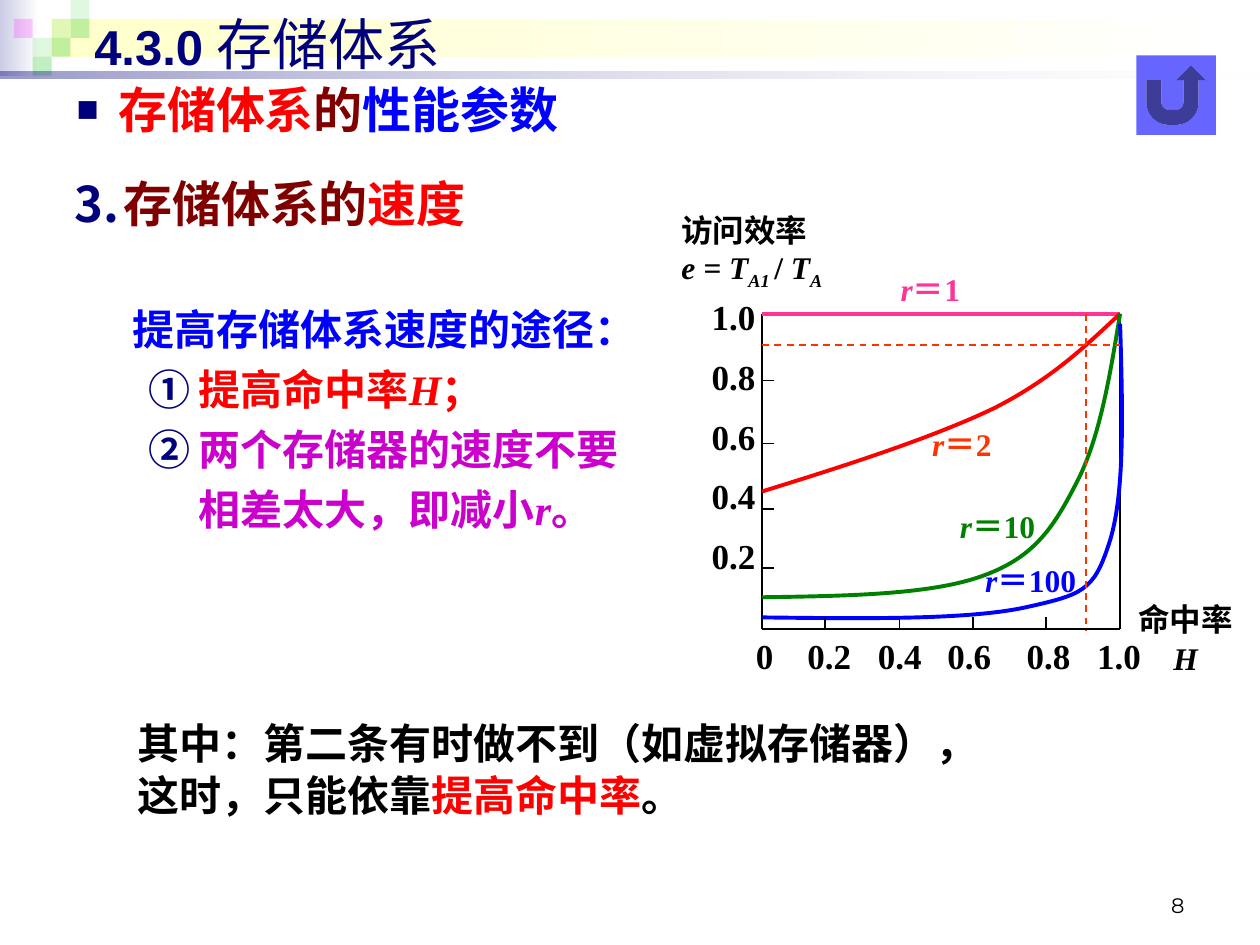
from lxml import etree
from pptx import Presentation, util as u
from pptx.dml.color import RGBColor
from pptx.enum import dml, shapes, text
from pptx.oxml.ns import qn

CJK, TIMES = "Noto Sans CJK SC", "Times New Roman"
NAVY, RED, BLUE, GREEN = "00007D", "FF0000", "0000FF", "008000"
MAROON, PURPLE, PINK, ORANGE, BLACK = "800000", "CC00CC", "FF3399", "FF3300", "000000"

# A run is (text, size, font, colour, styles): b bold, i italic, s subscript
TITLE = [("4.3.0 ", 28, "Arial", NAVY, "b"), ("存储体系", 32, CJK, NAVY, "")]
HEADING = [("存储体系", 28, CJK, RED, "b"), ("的", 28, CJK, MAROON, "b"),
           ("性能参数", 28, CJK, BLUE, "b")]
SPEED = [("存储体系的", 28, "Arial", MAROON, "b"), ("速度", 28, "Arial", RED, "b")]
WAYS = [("提高存储体系速度的途径：", 24, TIMES, BLUE, "b")]
WAY_1 = [("提高命中率", 24, TIMES, RED, "b"), ("H", 24, TIMES, RED, "bi"),
         ("；", 24, TIMES, RED, "b")]
WAY_2 = [("两个存储器的速度不要相差太大，即减小", 24, TIMES, PURPLE, "b"),
         ("r", 24, TIMES, PURPLE, "bi"), ("。", 24, TIMES, PURPLE, "b")]
NOTE = [("其中：第二条有时做不到（如虚拟存储器），这时，只能依靠", 24, "Arial", BLACK, "b"),
        ("提高命中率", 24, "Arial", RED, "b"), ("。", 24, "Arial", BLACK, "b")]
Y_NAME = [[("访问效率", 18, CJK, BLACK, "b")],
          [("e = T", 18, TIMES, BLACK, "bi"), ("A1 ", 18, TIMES, BLACK, "bis"),
           ("/", 18, TIMES, BLACK, "b"), (" T", 18, TIMES, BLACK, "bi"),
           ("A", 18, TIMES, BLACK, "bis")]]
X_NAME = [[("命中率", 18, TIMES, BLACK, "b")], [("H", 18, TIMES, BLACK, "bi")]]
Y_LABELS = ["1.0", "0.8", "0.6", "0.4", "0.2"]
X_LABELS = ["0", "0.2", "0.4", "0.6", "0.8", "1.0"]
X_TABS = [0.41, 0.97, 1.52, 2.15, 2.71]

# Plot area, ticks and curves (Bezier control points), in inches
LEFT, TOP, RIGHT, BOTTOM, TICK = 6.05, 2.49, 8.89, 4.99, 0.09
Y_TICKS = [3.02, 3.52, 4.04, 4.51]
X_TICKS = [6.55, 7.14, 7.72, 8.3]
CURVES = [
    (RED, [(6.05, 3.9), (6.73, 3.69), (7.41, 3.47), (7.89, 3.24),
           (8.36, 3), (8.62, 2.74), (8.89, 2.49)]),
    (GREEN, [(6.05, 4.74), (6.72, 4.73), (7.39, 4.72), (7.8, 4.57), (8.22, 4.42),
             (8.37, 4.17), (8.55, 3.82), (8.73, 3.47), (8.81, 2.98), (8.89, 2.49)]),
    (BLUE, [(6.05, 4.9), (6.86, 4.91), (7.68, 4.92), (8.14, 4.82), (8.59, 4.72),
            (8.68, 4.69), (8.8, 4.32), (8.93, 3.94), (8.91, 3.26), (8.89, 2.57)]),
]
CURVE_LABELS = [("1", PINK, 7.05, 2.09), ("2", ORANGE, 7.3, 3.32),
                ("10", GREEN, 7.52, 3.97), ("100", BLUE, 7.72, 4.4)]

# Banner: squares as column, row, colour, opacity; bands as box and colour stops
SQUARE = 0.15
SQUARES = [(2, 1, "33CC33", 15), (3, 0, "33CC33", 15), (3, 1, "33CC33", 30),
           (1, 2, "33CC33", 15), (0, 1, "FF00FF", 20), (2, 2, "33CC33", 30),
           (1, 3, "33CC33", 30)]
SIDE_BAND = ((0, 0, 0.31, 0.6), [("CCCCE6", 100), ("FFFFFF", 100)])
TITLE_BAND = ((0.41, 0.15, 9.55, 0.3), [("FFFFCC", 100), ("FFFFFF", 100)])
RULE_BAND = ((0, 0.57, 10, 0.05), [(NAVY, 40), ("FFFFFF", 10)])

prs = Presentation()
prs.slide_width, prs.slide_height = u.Inches(10), u.Inches(7.5)
slide = prs.slides.add_slide(prs.slide_layouts[6])


def rgb(c):
    return RGBColor.from_string(c)


def set_alpha(sp, values):
    for clr, value in zip(sp._element.spPr.iter(qn("a:srgbClr")), values):
        if value < 100:
            etree.SubElement(clr, qn("a:alpha"), val=str(value * 1000))


def add_block(box, stops, kind=shapes.MSO_SHAPE.RECTANGLE):
    sp = slide.shapes.add_shape(kind, *map(u.Inches, box))
    sp.shadow.inherit = False
    sp.line.fill.background()
    if len(stops) == 1:
        sp.fill.solid()
        sp.fill.fore_color.rgb = rgb(stops[0][0])
    else:
        sp.fill.gradient()
        sp.fill.gradient_angle = 0
        for stop, (c, _) in zip(sp.fill.gradient_stops, stops):
            stop.color.rgb = rgb(c)
    set_alpha(sp, [a for _, a in stops])


def add_text(box, paras, pitch=None, align=None, anchor=text.MSO_ANCHOR.TOP, gap=0):
    sp = slide.shapes.add_textbox(*map(u.Inches, box))
    tf = sp.text_frame
    tf.word_wrap, tf.vertical_anchor = True, anchor
    for n, runs in enumerate(paras):
        p = tf.add_paragraph() if n else tf.paragraphs[0]
        p.alignment = align
        if pitch:
            p.line_spacing = u.Pt(pitch)
        if n and gap:
            p.space_before = u.Pt(gap)
        for words, size, font, c, style in runs:
            r = p.add_run()
            r.text = words
            r.font.size, r.font.name = u.Pt(size), font
            r.font.color.rgb = rgb(c)
            r.font.bold, r.font.italic = "b" in style, "i" in style
            rPr = r.font._element
            etree.SubElement(rPr, qn("a:ea"), typeface=CJK)
            if "s" in style:
                rPr.set("baseline", "-25000")
    return tf


def indent(p, margin, hanging=0):
    pPr = p._p.get_or_add_pPr()
    pPr.set("marL", str(u.Inches(margin)))
    pPr.set("indent", str(-u.Inches(hanging)))
    return pPr


def add_bullet(p, margin, hanging, tag, size=100, font=CJK, **attrs):
    pPr = indent(p, margin, hanging)
    clr = etree.SubElement(pPr, qn("a:buClr"))
    etree.SubElement(clr, qn("a:srgbClr"), val=NAVY)
    etree.SubElement(pPr, qn("a:buSzPct"), val=str(size * 1000))
    etree.SubElement(pPr, qn("a:buFont"), typeface=font)
    etree.SubElement(pPr, qn(tag), **attrs)


def add_line(x1, y1, x2, y2, c=BLACK, width=1, dashed=False):
    cn = slide.shapes.add_connector(shapes.MSO_CONNECTOR.STRAIGHT,
                                    *map(u.Inches, (x1, y1, x2, y2)))
    cn.line.color.rgb, cn.line.width = rgb(c), u.Pt(width)
    if dashed:
        cn.line.dash_style = dml.MSO_LINE.DASH
    etree.SubElement(cn._element.spPr, qn("a:effectLst"))


def add_curve(c, points):
    emu = [(u.Inches(x), u.Inches(y)) for x, y in points]
    fb = slide.shapes.build_freeform(*emu[0])
    fb.add_line_segments(emu[1:], close=False)
    sp = fb.convert_to_shape()
    # Turn each three line segments into one Bezier segment
    segments = list(sp._element.spPr.iter(qn("a:lnTo")))
    for k in range(0, len(segments), 3):
        first, *rest = segments[k:k + 3]
        bezier = etree.Element(qn("a:cubicBezTo"))
        first.addprevious(bezier)
        for segment in (first, *rest):
            bezier.append(segment[0])
            segment.getparent().remove(segment)
    sp.shadow.inherit = False
    sp.fill.background()
    sp.line.color.rgb, sp.line.width = rgb(c), u.Pt(2.25)


# Banner
add_block(*SIDE_BAND)
add_block(*TITLE_BAND)
for col, row, c, opacity in SQUARES:
    add_block((0.11 + col * SQUARE, row * SQUARE, SQUARE, SQUARE), [(c, opacity)])
add_block(*RULE_BAND)

# Slide number, title and running text
add_text((7.17, 6.83, 2.33, 0.5), [[("8", 12, "Montserrat", BLACK, "")]],
         align=text.PP_ALIGN.RIGHT, anchor=text.MSO_ANCHOR.BOTTOM)
tf = add_text((0.65, -0.04, 9, 0.67), [TITLE], 45, anchor=text.MSO_ANCHOR.MIDDLE)
tf.margin_top = tf.margin_bottom = 0

tf = add_text((0.49, 1.27, 4.74, 3.54), [SPEED, WAYS, WAY_1, WAY_2], 34.3)
speed, ways, *items = tf.paragraphs
speed.line_spacing, ways.space_before = u.Pt(38), u.Pt(35)
add_bullet(speed, 0.39, 0.39, "a:buAutoNum", type="arabicPeriod", startAt="3")
indent(ways, 0.46)
for p in items:
    p.level = 1
    add_bullet(p, 0.99, 0.4, "a:buAutoNum", type="circleNumDbPlain")

tf = add_text((0.51, 0.52, 8.82, 0.59), [HEADING], 38)
add_bullet(tf.paragraphs[0], 0.33, 0.33, "a:buChar", size=75, font="Arial", char="■")
add_text((0.99, 5.63, 7.01, 0.9), [NOTE], 29.7)

# Axis labels
add_text((5.55, 2.3, 0.75, 2.43), [[(s, 20, TIMES, BLACK, "b")] for s in Y_LABELS], gap=10)
add_text((8.86, 4.71, 1.1, 0.7), X_NAME, 22, text.PP_ALIGN.CENTER)
tf = add_text((5.9, 4.99, 3.67, 0.43), [[("\t".join(X_LABELS), 20, TIMES, BLACK, "b")]])
tabs = etree.SubElement(tf.paragraphs[0]._p.get_or_add_pPr(), qn("a:tabLst"))
for x in X_TABS:
    etree.SubElement(tabs, qn("a:tab"), pos=str(u.Inches(x)), algn="l")

# Frame, curves and ticks
add_line(LEFT, TOP, LEFT, BOTTOM)
add_line(LEFT, BOTTOM, RIGHT, BOTTOM)
add_line(LEFT, TOP, RIGHT, TOP, PINK, 2.25)
add_line(RIGHT, TOP, RIGHT, BOTTOM)
for c, points in CURVES:
    add_curve(c, points)
for y in Y_TICKS:
    add_line(LEFT, y, LEFT + TICK, y)
for x in X_TICKS:
    add_line(x, BOTTOM, x, BOTTOM - TICK)
add_line(LEFT, 2.74, RIGHT, 2.74, ORANGE, dashed=True)

# Curve labels, efficiency formula and guide line
for value, c, x, y in CURVE_LABELS:
    add_text((x, y, 1.08, 0.4),
             [[("r", 18, TIMES, c, "bi"), ("＝" + value, 18, TIMES, c, "b")]], 22)
add_text((5.31, 1.62, 1.42, 0.7), Y_NAME, 22, gap=2)
add_line(8.62, TOP, 8.62, 5.01, ORANGE, dashed=True)

# Return button
add_block((9.02, 0.44, 0.63, 0.63), [("6666FF", 100)], shapes.MSO_SHAPE.ACTION_BUTTON_RETURN)

prs.save("out.pptx")
